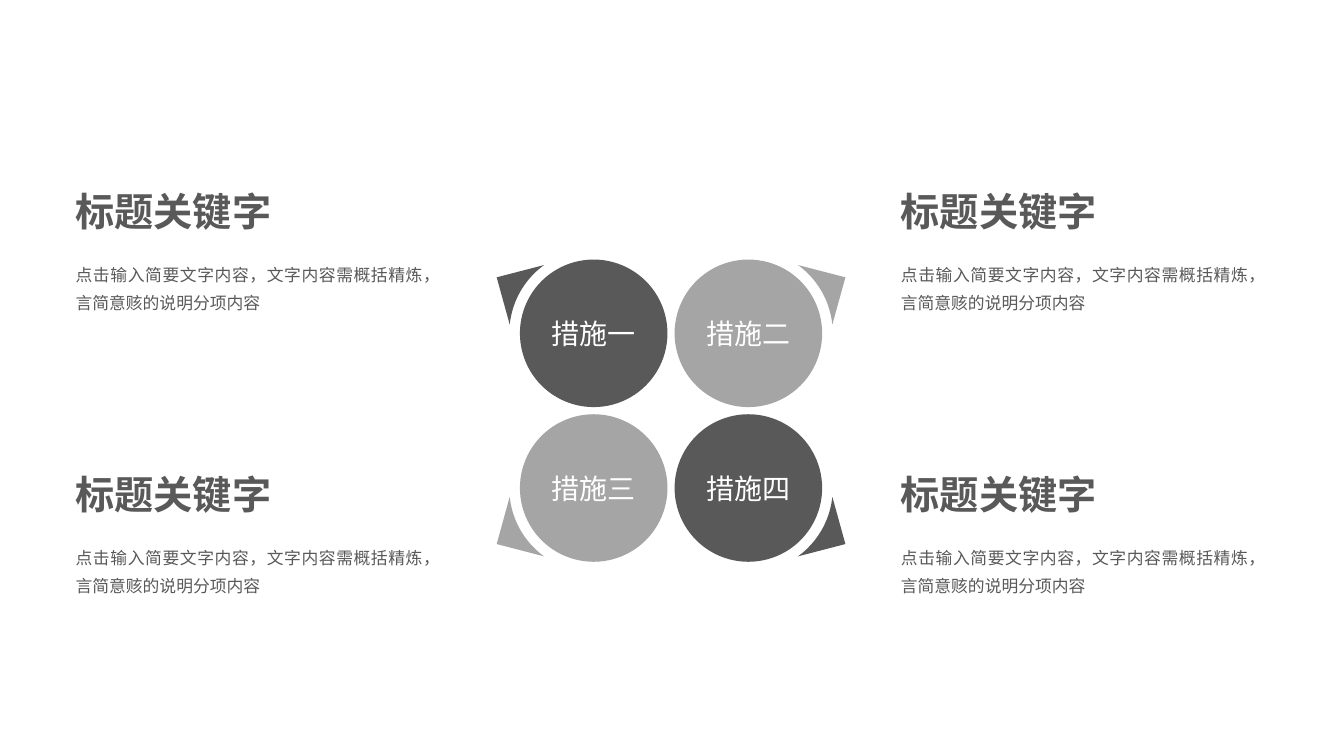
from itertools import product
from math import cos, radians, sin

from lxml.etree import SubElement
from pptx import Presentation
from pptx.dml.color import RGBColor
from pptx.enum.shapes import MSO_SHAPE as Shape
from pptx.enum.text import MSO_ANCHOR as Anchor, PP_ALIGN as Align
from pptx.oxml.ns import qn
from pptx.util import Pt

FONT = "Noto Sans CJK SC"
DARK, LIGHT, WHITE = "595959", "A5A5A5", "FFFFFF"
HEADING = "标题关键字"
DETAIL = "点击输入简要文字内容，文字内容需概括精炼，言简意赅的说明分项内容"
MEASURES = ["措施一", "措施二", "措施三", "措施四"]
CIRCLE, PITCH = 105.4, 110.5
ARC_RADIUS, TIP_RADIUS = 60.3, 80


def color(value):
    return RGBColor.from_string(value)


def paint(shape, fill):
    shape.shadow.inherit = False
    shape.fill.solid()
    shape.fill.fore_color.rgb = color(fill)
    shape.line.fill.background()


def write(shape, text, size, fill, bold=False, align=Align.LEFT, anchor=Anchor.TOP, spacing=None):
    frame = shape.text_frame
    frame.word_wrap = True
    frame.vertical_anchor = anchor
    frame.margin_left = frame.margin_right = frame.margin_top = frame.margin_bottom = 0
    para = frame.paragraphs[0]
    para.alignment = align
    if spacing:
        para.line_spacing = Pt(spacing)
    span = para.add_run()
    span.text = text
    font = span.font
    font.size, font.bold, font.name = Pt(size), bold, FONT
    font.color.rgb = color(fill)
    SubElement(span._r.get_or_add_rPr(), qn("a:ea"), typeface=FONT)


def add_corner(page, center_x, center_y, side_x, side_y, fill):
    def point(radius, degrees):
        angle = radians(degrees)
        return (Pt(center_x + side_x * radius * cos(angle)),
                Pt(center_y + side_y * radius * sin(angle)))

    builder = page.shapes.build_freeform(*point(TIP_RADIUS, 30))
    builder.add_line_segments([point(ARC_RADIUS, degrees) for degrees in range(6, 55, 2)])
    paint(builder.convert_to_shape(), fill)


def add_cluster(page, left, top):
    for (row, column), label in zip(product(range(2), repeat=2), MEASURES):
        x, y = left + column * PITCH, top + row * PITCH
        fill = DARK if row == column else LIGHT
        add_corner(page, x + CIRCLE / 2, y + CIRCLE / 2, 2 * column - 1, 2 * row - 1, fill)
        circle = page.shapes.add_shape(Shape.OVAL, Pt(x), Pt(y), Pt(CIRCLE), Pt(CIRCLE))
        paint(circle, fill)
        write(circle, label, 20, WHITE, align=Align.CENTER, anchor=Anchor.MIDDLE)


def add_description(page, left, top):
    heading = page.shapes.add_textbox(Pt(left), Pt(top), Pt(147), Pt(34))
    write(heading, HEADING, 28, DARK, bold=True)
    detail = page.shapes.add_textbox(Pt(left), Pt(top + 49.7), Pt(260.6), Pt(38.2))
    write(detail, DETAIL, 12, DARK, align=Align.JUSTIFY, spacing=20)


def main():
    deck = Presentation()
    deck.slide_width, deck.slide_height = Pt(960), Pt(540)
    page = deck.slides.add_slide(deck.slide_layouts[6])
    add_cluster(page, 371.4, 185.4)
    for left, top in product((54, 643.5), (134, 336)):
        add_description(page, left, top)
    deck.save("out.pptx")


if __name__ == "__main__":
    main()
